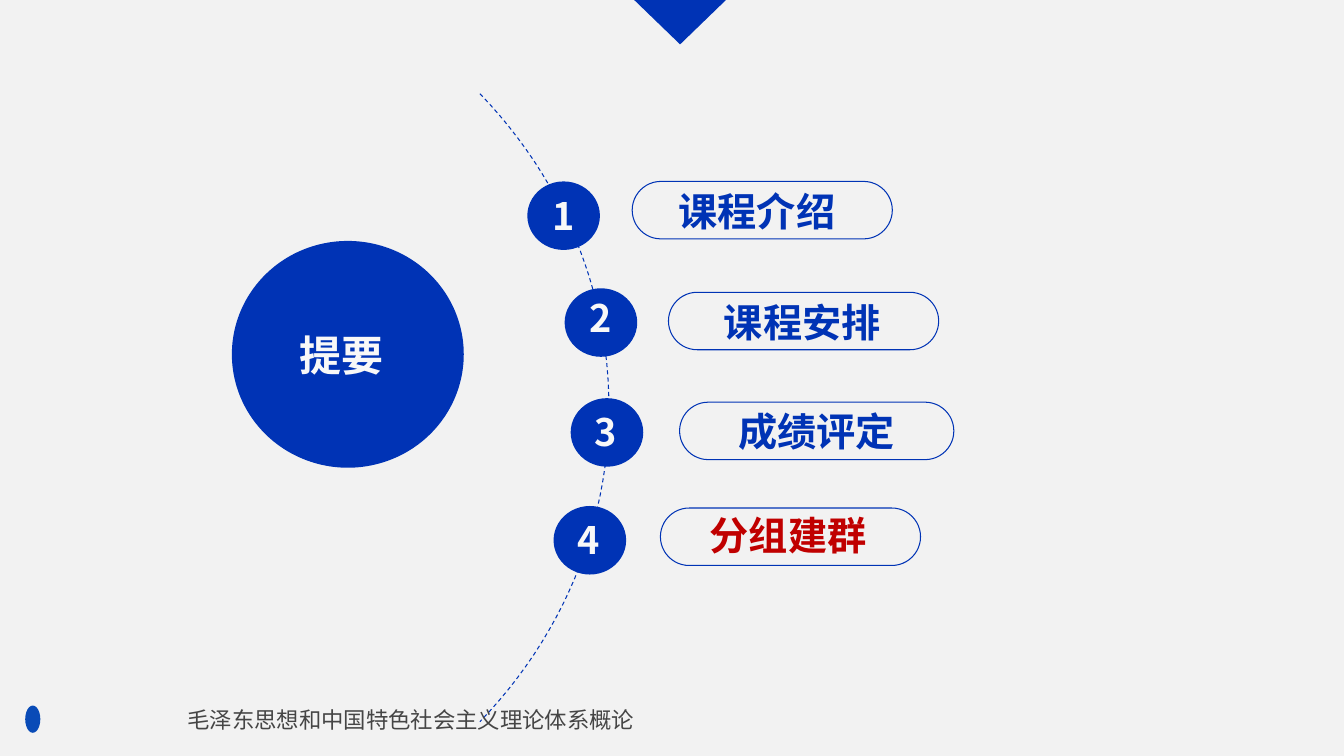
"""Build the course outline slide with four numbered topics along an arc."""
from lxml.etree import SubElement
from pptx import Presentation
from pptx.dml.color import RGBColor
from pptx.enum.dml import MSO_LINE as Dash
from pptx.enum.shapes import MSO_SHAPE as Kind
from pptx.enum.text import MSO_ANCHOR as Anchor, MSO_AUTO_SIZE as Fit, PP_ALIGN as Align
from pptx.oxml.ns import qn
from pptx.util import Inches, Pt

FACE = "Noto Sans CJK SC"
BLUE, RED, WHITE = "0033B5", "C00000", "F8F8F8"
color = RGBColor.from_string

deck = Presentation()
deck.slide_width, deck.slide_height = Inches(13.33), Inches(7.5)
slide = deck.slides.add_slide(deck.slide_layouts[5])
shapes = slide.shapes


def draw(kind, spot, fill=None):
    shape = shapes.add_shape(kind, *map(Inches, spot))
    shape.shadow.inherit = False
    if fill:
        shape.fill.solid()
        shape.fill.fore_color.rgb = color(fill)
        shape.line.fill.background()
    else:
        shape.fill.background()
        shape.line.color.rgb = color(BLUE)
        shape.line.width = Pt(0.75)
    return shape


def write(words, spot, size, hue, bold=True, align=Align.LEFT, box=None):
    box = box or shapes.add_textbox(0, 0, 0, 0)
    box.left, box.top, box.width, box.height = map(Inches, spot)
    frame = box.text_frame
    look = {"word_wrap": True, "auto_size": Fit.SHAPE_TO_FIT_TEXT,
            "vertical_anchor": Anchor.TOP,
            "margin_left": Inches(0.09), "margin_right": Inches(0.09),
            "margin_top": Inches(0.04), "margin_bottom": Inches(0.04)}
    for key, value in look.items():
        setattr(frame, key, value)
    line = frame.paragraphs[0]
    line.alignment = align
    run = line.add_run()
    run.text = words
    for key, value in {"name": FACE, "size": Pt(size), "bold": bold}.items():
        setattr(run.font, key, value)
    run.font.color.rgb = color(hue)
    SubElement(run.font._element, qn("a:ea"), typeface=FACE)


draw(Kind.RECTANGLE, (0, 0, 13.33, 7.5), "F2F2F2")

curves = [
    [(4.76, 0.93), (5.56, 1.76), (6.04, 2.85), (6.04, 4.04)],
    [(6.04, 4.04), (6.04, 5.24), (5.56, 6.33), (4.76, 7.16)],
]
steps = 24
dots = []
for curve in curves:
    for step in range(1, steps + 1):
        t = step / steps
        parts = [(1 - t) ** 3, 3 * t * (1 - t) ** 2, 3 * t * t * (1 - t), t ** 3]
        dots.append([Inches(sum(p * dot[axis] for p, dot in zip(parts, curve)))
                     for axis in (0, 1)])
pen = shapes.build_freeform(Inches(4.76), Inches(0.93))
pen.add_line_segments(dots, close=False)
arc = pen.convert_to_shape()
arc.shadow.inherit = False
arc.fill.background()
arc.line.color.rgb = color(BLUE)
arc.line.width = Pt(0)
arc.line.dash_style = Dash.DASH

topics = [
    ("课程介绍", BLUE, (5.23, 1.8), (5.39, 1.87), (6.27, 1.8, 2.58), (6.64, 1.82, 1.83)),
    ("课程安排", BLUE, (5.6, 2.86), (5.76, 2.88), (6.63, 2.9, 2.68), (7.09, 2.92, 2)),
    ("成绩评定", BLUE, (5.66, 3.95), (5.81, 4.01), (6.74, 3.99, 2.72), (6.98, 4, 2.24)),
    ("分组建群", RED, (5.49, 5.02), (5.64, 5.09), (6.55, 5.04, 2.58), (6.95, 5.03, 1.78)),
]
for rank, (topic, hue, disc, digit, pill, label) in enumerate(topics, 1):
    draw(Kind.OVAL, (*disc, 0.72, 0.68), BLUE)
    write(str(rank), (*digit, 0.42, 0.54), 27, WHITE)
    draw(Kind.ROUNDED_RECTANGLE, (*pill, 0.57)).adjustments[0] = 0.5
    align = Align.CENTER if rank == 3 else Align.LEFT
    write(topic, (*label, 0.56), 28, hue, align=align)

draw(Kind.OVAL, (2.3, 2.39, 2.3, 2.25), BLUE)
title = shapes.title
title.element.getparent().append(title.element)
write("提要", (2.88, 3.23, 1.14, 0.59), 30, WHITE, align=Align.JUSTIFY, box=title)

draw(Kind.ISOSCELES_TRIANGLE, (6.29, 0, 0.91, 0.44), BLUE).rotation = 180
draw(Kind.OVAL, (0.25, 7, 0.15, 0.27), "094BB7")
write("毛泽东思想和中国特色社会主义理论体系概论", (1.77, 6.97, 7.59, 0.37), 16, "454545", bold=False)

deck.save("out.pptx")
